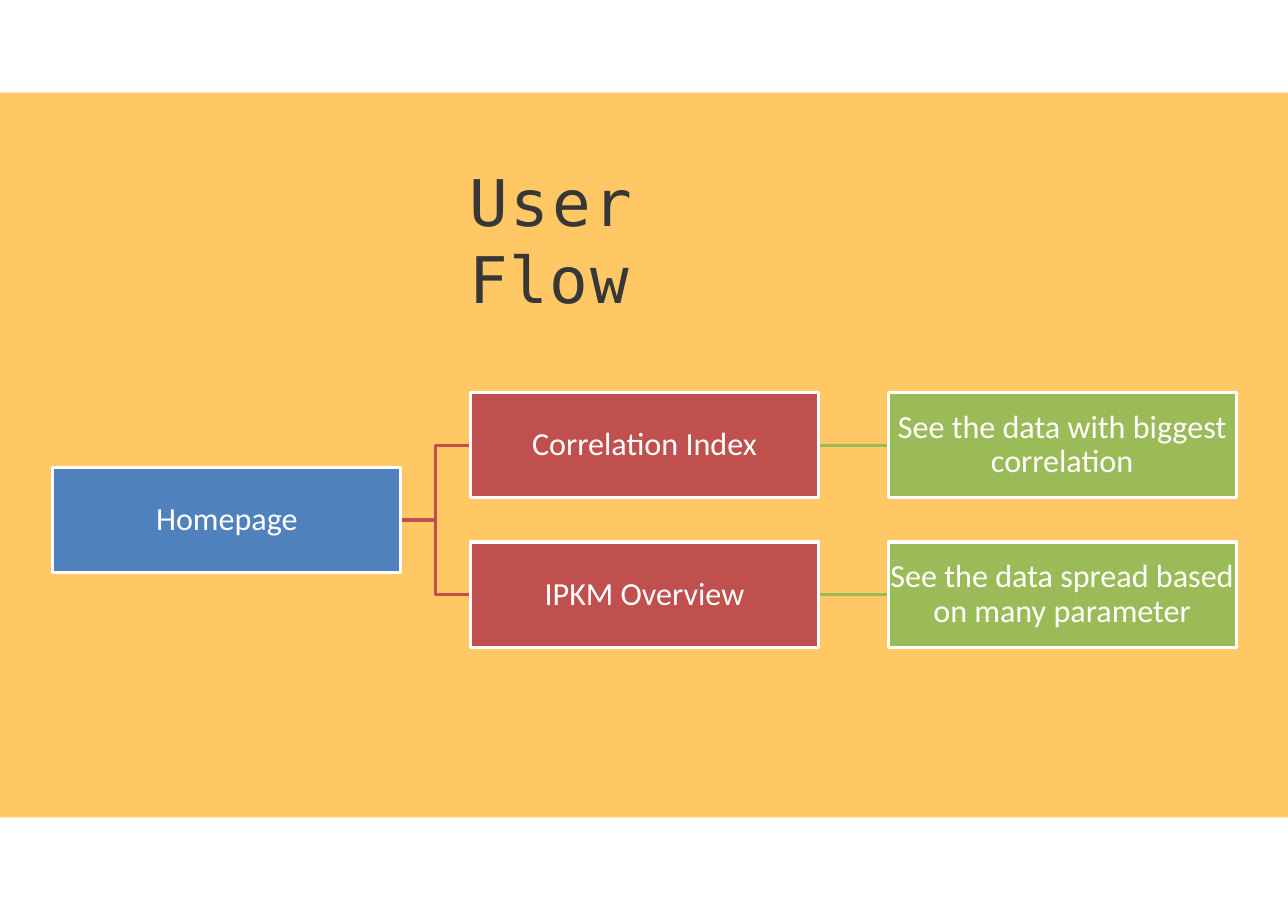
from lxml import etree
from pptx import Presentation
from pptx.dml.color import RGBColor
from pptx.enum.shapes import MSO_CONNECTOR, MSO_SHAPE
from pptx.enum.text import MSO_ANCHOR, MSO_AUTO_SIZE, PP_ALIGN
from pptx.oxml.ns import qn
from pptx.util import Inches, Pt

RECTANGLE = MSO_SHAPE.RECTANGLE
STRAIGHT, ELBOW = MSO_CONNECTOR.STRAIGHT, MSO_CONNECTOR.ELBOW
TOP, MIDDLE = MSO_ANCHOR.TOP, MSO_ANCHOR.MIDDLE
CENTER = PP_ALIGN.CENTER
GROW = MSO_AUTO_SIZE.SHAPE_TO_FIT_TEXT
LEFT_SITE, RIGHT_SITE = 1, 3

WIDTH, HEIGHT = 11.69, 8.26
BAND = (0, 0.84, WIDTH, 6.58)
TITLE = (4.25, 1.45, 2.92, 0.73)
FLOW = (0.48, 3.56, 10.74, 2.32)
LEVEL_COLORS = ["4F81BD", "C0504D", "9BBB59"]

NODES = {
    "Homepage": (0, 0.5),
    "Correlation Index": (1, 0),
    "See the data with biggest correlation": (2, 0),
    "IPKM Overview": (1, 1),
    "See the data spread based on many parameter": (2, 1),
}
LINKS = [
    ("Homepage", "Correlation Index"),
    ("Homepage", "IPKM Overview"),
    ("Correlation Index", "See the data with biggest correlation"),
    ("IPKM Overview", "See the data spread based on many parameter"),
]


def color(hex_value):
    return RGBColor.from_string(hex_value)


def apply(target, values):
    for name, value in values.items():
        setattr(target, name, value)


def set_frame(frame, inset, **values):
    margins = ("margin_left", "margin_top", "margin_right", "margin_bottom")
    apply(frame, dict(zip(margins, map(Inches, inset))))
    apply(frame, {"word_wrap": True, **values})


def add_rectangle(slide, box, fill):
    rectangle = slide.shapes.add_shape(RECTANGLE, *map(Inches, box))
    rectangle.shadow.inherit = False
    rectangle.fill.solid()
    rectangle.fill.fore_color.rgb = color(fill)
    return rectangle


def add_run(paragraph, text, size, family, ink):
    run = paragraph.add_run()
    run.text = text
    apply(run.font, {"size": Pt(size), "name": family})
    run.font.color.rgb = color(ink)
    return run


def add_band(slide, box):
    add_rectangle(slide, box, "FFC865").line.fill.background()


def add_title(slide, box):
    frame = slide.shapes.add_textbox(*map(Inches, box)).text_frame
    set_frame(frame, (0.01, 0.02, 0, 0), vertical_anchor=TOP, auto_size=GROW)
    for word, tracking in (("User ", 180), ("Flow", 110)):
        run = add_run(frame.paragraphs[0], word, 42, "DejaVu Sans Mono", "383737")
        run.font._element.set("spc", str(tracking))


def add_node(slide, box, text, fill):
    node = add_rectangle(slide, box, fill)
    node.line.color.rgb = color("FFFFFF")
    node.line.width = Pt(2)
    set_frame(node.text_frame, [0.01] * 4, vertical_anchor=MIDDLE)
    label = node.text_frame.paragraphs[0]
    apply(label, {"alignment": CENTER, "line_spacing": 0.9})
    add_run(label, text, 21, "Calibri", "FFFFFF")
    return node


def add_link(slide, kind, line_color):
    link = slide.shapes.add_connector(kind, 0, 0, 0, 0)
    link.line.color.rgb = color(line_color)
    link.line.width = Pt(2)
    etree.SubElement(link._element.spPr, qn("a:effectLst"))
    return link


def add_flow(slide, box):
    left, top, width, height = box
    column, row = width / 17, height / 29
    node_width, node_height = 5 * column, 12 * row

    links = []
    for source, target in LINKS:
        kind = STRAIGHT if NODES[source][1] == NODES[target][1] else ELBOW
        links.append(add_link(slide, kind, LEVEL_COLORS[NODES[target][0]]))

    nodes = {}
    for text, (level, lane) in NODES.items():
        place = (left + level * 6 * column, top + lane * 17 * row, node_width, node_height)
        nodes[text] = add_node(slide, place, text, LEVEL_COLORS[level])

    for link, (source, target) in zip(links, LINKS):
        link.begin_connect(nodes[source], RIGHT_SITE)
        link.end_connect(nodes[target], LEFT_SITE)


def main():
    deck = Presentation()
    apply(deck, {"slide_width": Inches(WIDTH), "slide_height": Inches(HEIGHT)})
    slide = deck.slides.add_slide(deck.slide_layouts[6])
    add_band(slide, BAND)
    add_title(slide, TITLE)
    add_flow(slide, FLOW)
    deck.save("out.pptx")


if __name__ == "__main__":
    main()
